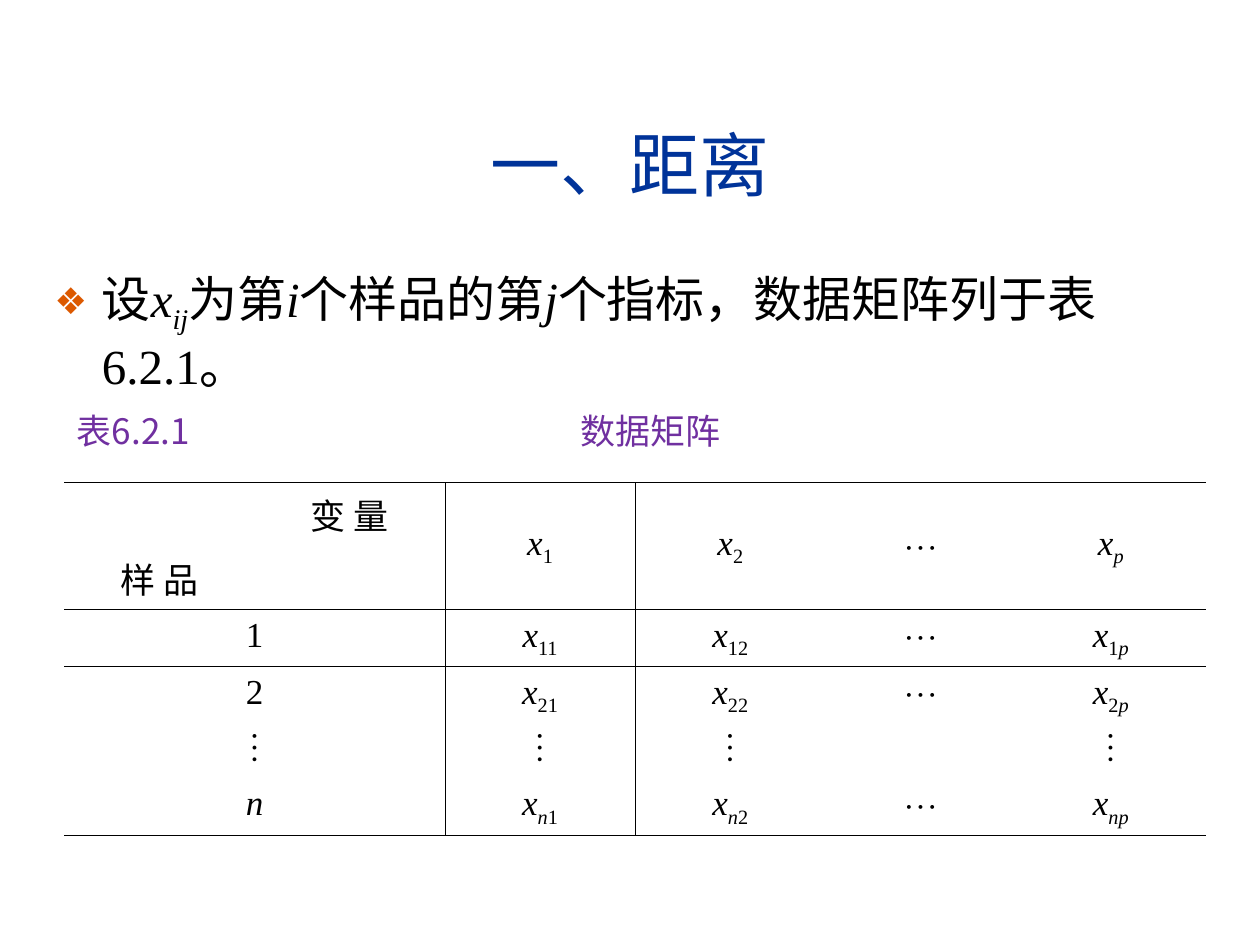
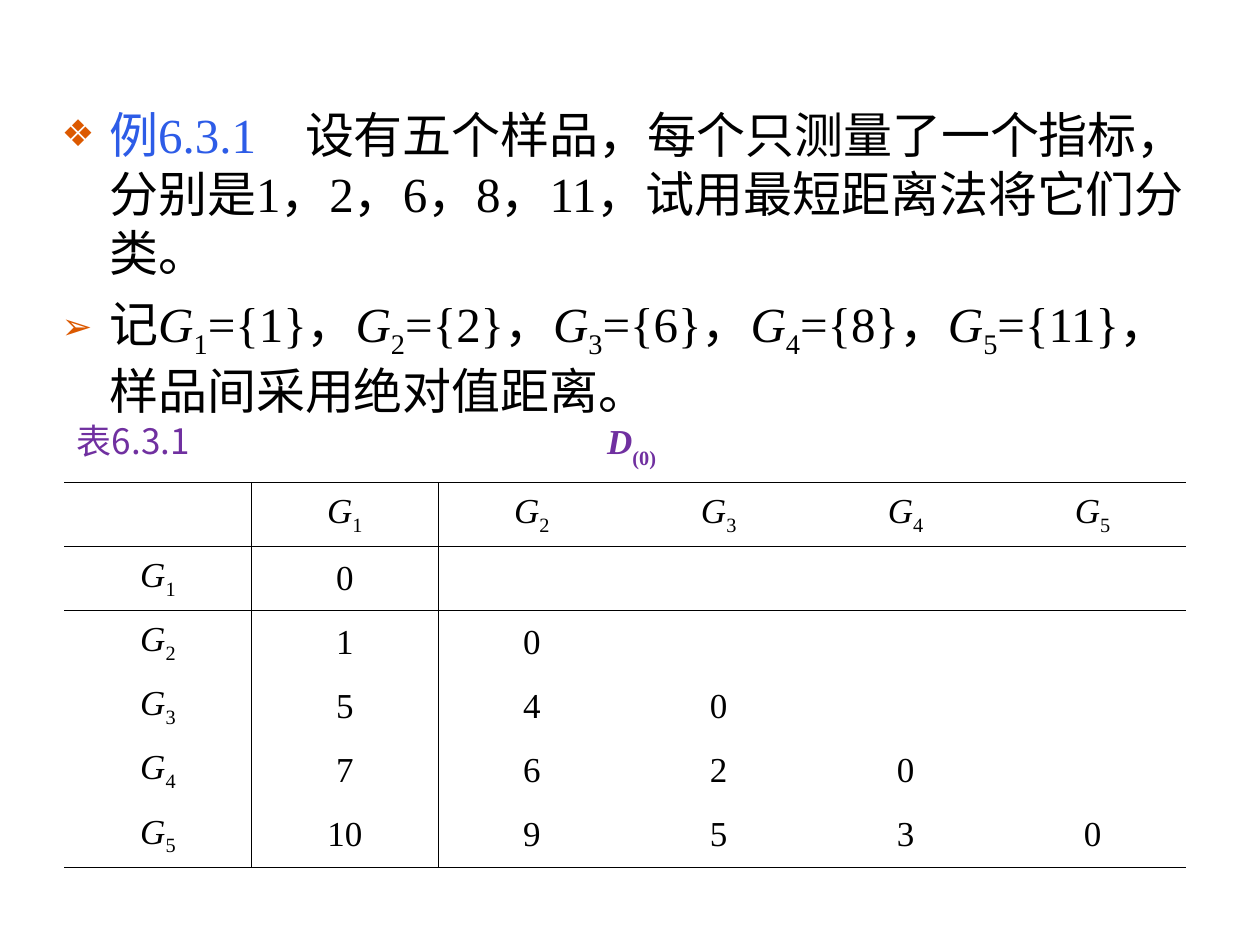
import pptx
import pptx.util
import pptx.dml.color
import pptx.enum.text
import pptx.oxml.ns
from lxml import etree

Cm = pptx.util.Cm
Pt = pptx.util.Pt
RGB = pptx.dml.color.RGBColor
ALIGN = pptx.enum.text.PP_ALIGN
ANCHOR = pptx.enum.text.MSO_ANCHOR
FIT = pptx.enum.text.MSO_AUTO_SIZE
qn = pptx.oxml.ns.qn

NAVY = RGB(0x00, 0x33, 0x99)
BLACK = RGB(0x00, 0x00, 0x00)
BLUE = RGB(0x2D, 0x5C, 0xE7)
PURPLE = RGB(0x70, 0x30, 0xA0)
ORANGE = RGB(0xDC, 0x59, 0x00)

SERIF = "Times New Roman"
SANS = "Noto Sans CJK SC"
MATH = "Cambria"
PLAIN = "{2D5ABB26-0587-4C30-8999-92F81FD0307C}"


# Runs are split by "|"; prefixes: * italic, _ subscript, ! bold, ^ blue
def write(para, text, size, face, color):
    for part in text.split("|"):
        word = part.lstrip("*_!^")
        marks = part[:len(part) - len(word)]
        run = para.add_run()
        run.text = word
        font = run.font
        font.size = Pt(size)
        font.bold = "!" in marks
        font.italic = "*" in marks
        font.color.rgb = BLUE if "^" in marks else color
        if word in ("⋯", "⋮"):
            font.name = east = MATH
        else:
            font.name = SERIF if "*" in marks or "!" in marks else face
            east = SANS
        props = run._r.get_or_add_rPr()
        etree.SubElement(props, qn("a:ea"), typeface=east)
        if "_" in marks:
            props.set("baseline", "-30000" if "!" in marks else "-25000")


def rule(cell, sides):
    props = cell._tc.get_or_add_tcPr()
    for spot, side in enumerate(sides):
        line = etree.Element(qn("a:ln" + side), w=str(Pt(0.45)))
        fill = etree.SubElement(line, qn("a:solidFill"))
        etree.SubElement(fill, qn("a:srgbClr"), val=str(BLACK))
        props.insert(spot, line)


matrix = [
    ["", "变 量", "*x|_1", "*x|_2", "⋯", "*x|_*p"],
    ["样 品", "", "", "", "", ""],
    ["1", "", "*x|_11", "*x|_12", "⋯", "*x|_1|_*p"],
    ["2", "", "*x|_21", "*x|_22", "⋯", "*x|_2|_*p"],
    ["⋮", "", "⋮", "⋮", "", "⋮"],
    ["*n", "", "*x|_*n|_1", "*x|_*n|_2", "⋯", "*x|_*np"],
]

points = [1, 2, 6, 8, 11]
names = [f"*G|_{n}" for n in range(1, 6)]
gaps = [[""] + names]
for row, name in enumerate(names):
    gaps.append([name] + [str(points[row] - points[col]) if col <= row else ""
                          for col in range(5)])

groups = "|".join(f"{name}|={{{point}}}，" for name, point in zip(names, points))

pages = [
    dict(title="一、距离", body=(0.84, 5.28, 23.72, 11.66),
         items=[("❖", "设|*x|_*ij|为第|*i|个样品的第|*j|个指标，数据矩阵列于表6.2.1。")],
         cells=matrix, size=(23.01, 6.6), head=2, split=2, mid=False,
         label="表6.2.1\t数据矩阵", box=(1.3, 8.13, 16, 1.12), tab=10.16),
    dict(title="", body=(0.99, 1.98, 23.72, 15.21),
         items=[("❖", "^例6.3.1　|设有五个样品，每个只测量了一个指标，"
                      "分别是1，2，6，8，11，试用最短距离法将它们分类。"),
                ("➢", "记|" + groups + "样品间采用绝对值距离。")],
         cells=gaps, size=(22.61, 7.75), head=1, split=1, mid=True,
         label="表6.3.1\t|!*D|_!(0)", box=(1.3, 8.33, 13, 1.27), tab=10.69),
]

deck = pptx.Presentation()
deck.slide_width = Cm(25.4)
deck.slide_height = Cm(19.05)

for page in pages:
    slide = deck.slides.add_slide(deck.slide_layouts[1])
    title, body = slide.placeholders
    if page["title"]:
        title.left, title.top, title.width, title.height = map(Cm, (0.84, 1.7, 23.72, 3.18))
        title.text_frame.auto_size = FIT.NONE
        title.text_frame.vertical_anchor = ANCHOR.MIDDLE
        para = title.text_frame.paragraphs[0]
        para.alignment = ALIGN.CENTER
        write(para, page["title"], 40, "Arial", NAVY)
    else:
        title._element.getparent().remove(title._element)

    body.left, body.top, body.width, body.height = map(Cm, page["body"])
    frame = body.text_frame
    frame.auto_size = FIT.NONE
    for spot, (mark, text) in enumerate(page["items"]):
        para = frame.add_paragraph() if spot else frame.paragraphs[0]
        para.space_before = Pt(7)
        props = para._p.get_or_add_pPr()
        props.set("marL", str(Cm(0.96)))
        props.set("indent", str(-Cm(0.96)))
        tint = etree.SubElement(props, qn("a:buClr"))
        etree.SubElement(tint, qn("a:srgbClr"), val=str(ORANGE))
        etree.SubElement(props, qn("a:buSzPct"), val="75000")
        etree.SubElement(props, qn("a:buChar"), char=mark)
        write(para, text, 28, SERIF, BLACK)

    cells, head, split = page["cells"], page["head"], page["split"]
    rows, cols = len(cells), len(cells[0])
    wide, high = page["size"]
    grid = slide.shapes.add_table(rows, cols, Cm(1.3), Cm(9.73), Cm(wide), Cm(high)).table
    grid.first_row = grid.horz_banding = False
    grid._tbl.tblPr[0].text = PLAIN
    for row in range(rows):
        for col in range(cols):
            cell = grid.cell(row, col)
            cell.fill.background()
            sides = []
            if col == split:
                sides.append("L")
            if col == split - 1:
                sides.append("R")
            if row in (0, head):
                sides.append("T")
            if row in (head - 1, rows - 1):
                sides.append("B")
            rule(cell, sides)
            if page["mid"] or row < head:
                cell.vertical_anchor = ANCHOR.MIDDLE
            if cells[row][col]:
                para = cell.text_frame.paragraphs[0]
                para.alignment = ALIGN.CENTER
                write(para, cells[row][col], 20, SERIF, BLACK)
    if head > 1:
        for col in range(split, cols):
            grid.cell(0, col).merge(grid.cell(head - 1, col))
    if split > 1:
        for row in range(head, rows):
            grid.cell(row, 0).merge(grid.cell(row, split - 1))

    label = slide.shapes.add_textbox(*map(Cm, page["box"]))
    frame = label.text_frame
    frame.word_wrap = True
    if page["mid"]:
        frame.vertical_anchor = ANCHOR.MIDDLE
    para = frame.paragraphs[0]
    stops = etree.SubElement(para._p.get_or_add_pPr(), qn("a:tabLst"))
    etree.SubElement(stops, qn("a:tab"), pos=str(Cm(page["tab"])), algn="l")
    write(para, page["label"], 20, SANS, PURPLE)

deck.save("out.pptx")
